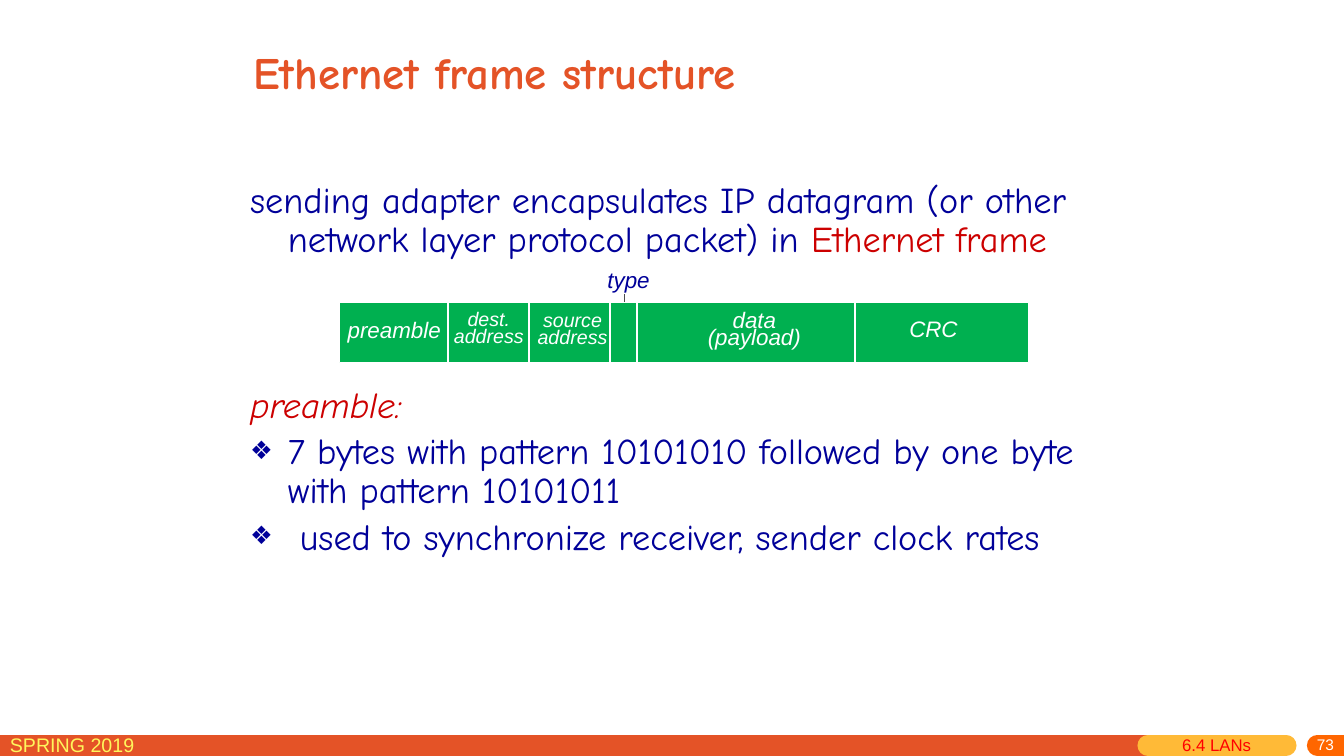
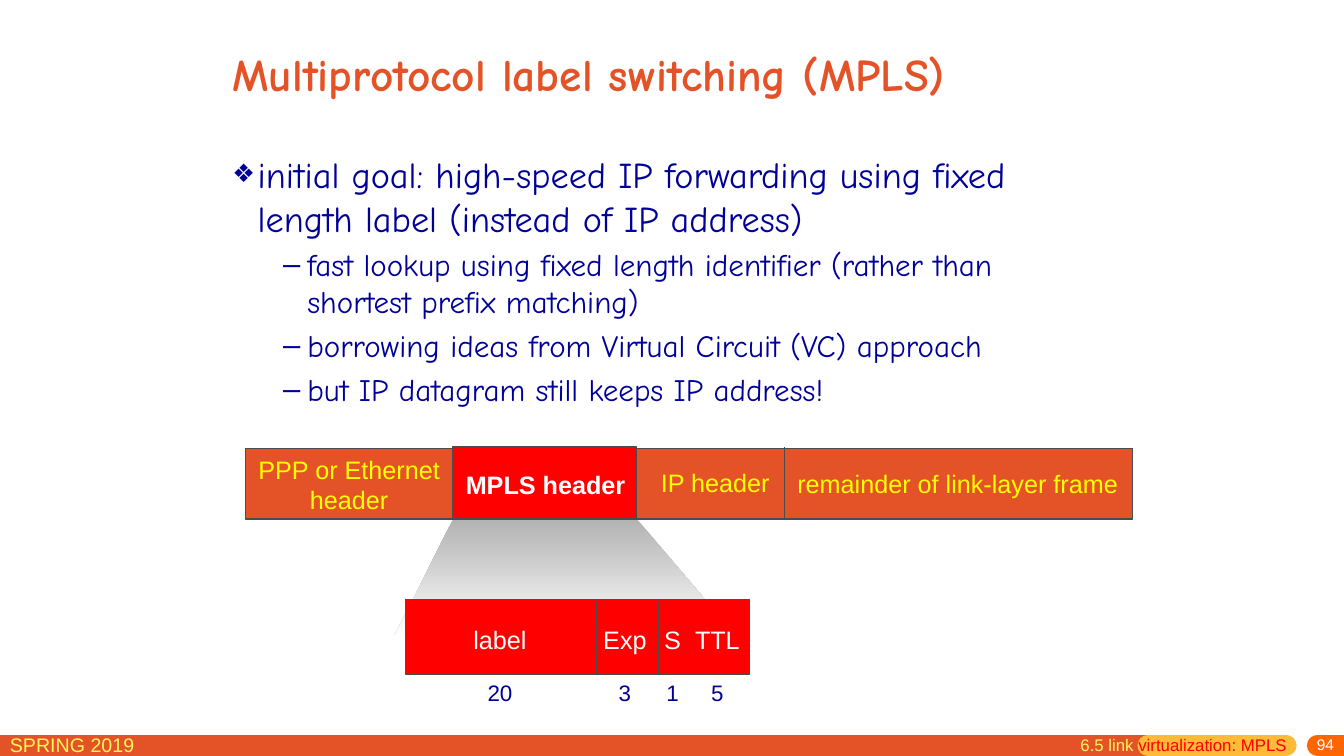
from dataclasses import dataclass
from typing import NamedTuple

from lxml.etree import SubElement
from pptx import Presentation
from pptx.dml.color import RGBColor
from pptx.enum.shapes import MSO_CONNECTOR, MSO_SHAPE
from pptx.enum.text import MSO_ANCHOR, MSO_AUTO_SIZE, PP_ALIGN
from pptx.oxml.ns import qn
from pptx.shapes.autoshape import Shape
from pptx.shapes.connector import Connector
from pptx.slide import Slide
from pptx.text.text import Font
from pptx.util import Cm, Pt

COLORS = {
    "orange": "E45327", "amber": "FFBA37", "bright orange": "FF6600",
    "pale yellow": "FFF65C", "yellow": "FFFF00", "white": "FFFFFF",
    "navy": "000099", "crimson": "CC0000", "red": "FF0000",
    "green": "00B050", "dark gray": "4C4C4C", "gray": "B2B2B2",
}
BODY_FONT = "Comic Neue"
LABEL_FONT = "Arial"
SLIDE_WIDTH, SLIDE_HEIGHT = 33.87, 19.05
BAND_MIDDLE = 18.78


class Box(NamedTuple):
    """A rectangle in centimetres."""
    left: float
    top: float
    width: float
    height: float

    def lengths(self) -> tuple[Cm, ...]:
        return tuple(Cm(value) for value in self)


class Band(NamedTuple):
    start: float
    end: float
    color: str
    cap: str


class TextRun(NamedTuple):
    text: str
    color: str = "navy"


class HeaderField(NamedTuple):
    name: str
    bits: str
    center: float


@dataclass(frozen=True)
class Label:
    text: str
    box: Box
    size: float
    color: str
    align: PP_ALIGN = PP_ALIGN.CENTER
    bold: bool = False
    italic: bool = False
    wrap: bool = True
    line_points: float | None = None
    anchor: MSO_ANCHOR = MSO_ANCHOR.TOP


@dataclass(frozen=True)
class BodyParagraph:
    runs: tuple[TextRun, ...]
    size: float = 25.9
    level: int = 0
    margin: float = 0.95
    hanging: float = 0.95
    bullet: str = ""
    bullet_percent: int = 70
    italic: bool = False
    line_spacing: float | None = None
    space_before: float | None = None


BANDS = (
    Band(0, 28.93, "orange", "flat"),
    Band(28.93, 32.41, "amber", "rnd"),
    Band(33.2, SLIDE_WIDTH, "bright orange", "rnd"),
)


def rgb(color: str) -> RGBColor:
    return RGBColor.from_string(COLORS[color])


def style_font(font: Font, name: str, size: float, color: str,
               bold: bool = False, italic: bool = False) -> None:
    font.name, font.size = name, Pt(size)
    font.bold, font.italic = bold, italic
    font.color.rgb = rgb(color)


def add_line(slide: Slide, start: tuple[float, float], end: tuple[float, float],
             color: str, points: float) -> Connector:
    connector = slide.shapes.add_connector(
        MSO_CONNECTOR.STRAIGHT, *(Cm(value) for value in (*start, *end)))
    connector.line.color.rgb = rgb(color)
    connector.line.width = Pt(points)
    SubElement(connector._element.spPr, qn("a:effectLst"))
    return connector


def add_dividers(slide: Slide, positions: tuple[float, ...], top: float,
                 bottom: float, color: str, points: float) -> None:
    for left in positions:
        add_line(slide, (left, top), (left, bottom), color, points)


def add_rectangle(slide: Slide, box: Box, fill: str, line: str) -> None:
    shape = slide.shapes.add_shape(MSO_SHAPE.RECTANGLE, *box.lengths())
    shape.shadow.inherit = False
    shape.fill.solid()
    shape.fill.fore_color.rgb = rgb(fill)
    shape.line.color.rgb = rgb(line)
    shape.line.width = Pt(0.75)


def add_label(slide: Slide, label: Label) -> Shape:
    shape = slide.shapes.add_textbox(*label.box.lengths())
    frame = shape.text_frame
    frame.word_wrap = label.wrap
    frame.vertical_anchor = label.anchor
    frame.text = label.text
    for paragraph in frame.paragraphs:
        paragraph.alignment = label.align
        if label.line_points:
            paragraph.line_spacing = Pt(label.line_points)
        style_font(paragraph.font, LABEL_FONT, label.size, label.color,
                   label.bold, label.italic)
    return shape


def add_footer(slide: Slide, number: int) -> None:
    for band in BANDS:
        connector = add_line(slide, (band.start, BAND_MIDDLE),
                             (band.end, BAND_MIDDLE), band.color, 15)
        connector.line._get_or_add_ln().set("cap", band.cap)
    add_label(slide, Label("SPRING 2019", Box(0, 18.34, 5.82, 0.79), 14,
                           "pale yellow", PP_ALIGN.LEFT))
    add_label(slide, Label(str(number), Box(27.31, 18.36, 6.56, 0.79), 11,
                           "white", PP_ALIGN.RIGHT, anchor=MSO_ANCHOR.MIDDLE))


def place(shape: Shape, box: Box) -> None:
    shape.left, shape.top, shape.width, shape.height = box.lengths()
    shape.text_frame.auto_size = MSO_AUTO_SIZE.NONE


def set_title(slide: Slide, text: str, box: Box, size: float) -> None:
    title = slide.shapes.title
    place(title, box)
    title.text_frame.text = text
    title.text_frame.vertical_anchor = MSO_ANCHOR.MIDDLE
    paragraph = title.text_frame.paragraphs[0]
    paragraph.alignment = PP_ALIGN.LEFT
    style_font(paragraph.font, BODY_FONT, size, "orange", bold=True)


def set_body(slide: Slide, box: Box, items: tuple[BodyParagraph, ...]) -> None:
    body = slide.placeholders[1]
    place(body, box)
    frame = body.text_frame
    for index, item in enumerate(items):
        paragraph = frame.add_paragraph() if index else frame.paragraphs[0]
        paragraph.level = item.level
        properties = paragraph._p.get_or_add_pPr()
        properties.set("marL", str(Cm(item.margin)))
        properties.set("indent", str(-Cm(item.hanging)))
        if item.bullet:
            SubElement(properties, qn("a:buSzPct"),
                       val=str(item.bullet_percent * 1000))
            SubElement(properties, qn("a:buChar"), char=item.bullet)
        else:
            SubElement(properties, qn("a:buNone"))
        if item.line_spacing:
            paragraph.line_spacing = item.line_spacing
        if item.space_before:
            paragraph.space_before = Pt(item.space_before)
        color = item.runs[0].color
        style_font(paragraph.font, BODY_FONT, item.size, color, italic=item.italic)
        for text_run in item.runs:
            run = paragraph.add_run()
            run.text = text_run.text
            if text_run.color != color:
                run.font.color.rgb = rgb(text_run.color)


def add_funnel(slide: Slide, corners: tuple[tuple[float, float], ...]) -> None:
    """Draw the shading that widens from one header to its enlarged fields."""
    first, *others = [(Cm(left), Cm(top)) for left, top in corners]
    builder = slide.shapes.build_freeform(*first)
    builder.add_line_segments(others, close=True)
    funnel = builder.convert_to_shape()
    funnel.shadow.inherit = False
    funnel.line.fill.background()
    funnel.fill.gradient()
    funnel.fill.gradient_angle = 270
    for stop, color in zip(funnel.fill.gradient_stops, ("gray", "white")):
        stop.color.rgb = rgb(color)


def build_ethernet_slide(slide: Slide) -> None:
    add_footer(slide, 73)
    set_title(slide, "Ethernet frame structure", Box(6.13, 0.95, 21.59, 1.7), 32)
    set_body(slide, Box(6.05, 4.47, 21.59, 12.07), (
        BodyParagraph((
            TextRun("sending adapter encapsulates IP datagram (or other "
                    "network layer protocol packet) in "),
            TextRun("Ethernet frame", "crimson")), line_spacing=0.9),
        BodyParagraph((TextRun("preamble:", "crimson"),), italic=True,
                      line_spacing=0.9, space_before=90),
        BodyParagraph((TextRun("7 bytes with pattern 10101010 followed by "
                               "one byte with pattern 10101011"),),
                      bullet="❖", line_spacing=0.9),
        BodyParagraph((TextRun(" used to synchronize receiver, sender clock rates"),),
                      bullet="❖", line_spacing=0.9),
    ))

    frame = Box(8.55, 7.62, 17.37, 1.52)
    add_line(slide, (15.75, 7.42), (15.75, frame.top), "dark gray", 0.75)
    add_rectangle(slide, frame, "green", "white")
    add_dividers(slide, (11.3, 13.34, 15.37, 16.05, 21.54),
                 frame.top, frame.top + frame.height, "white", 1.5)
    for text, box, size in (
        ("preamble", Box(8.45, 8.1, 2.97, 0.69), 16),
        ("dest.\naddress", Box(11.15, 7.78, 2.34, 1.14), 14),
        ("source\naddress", Box(13.26, 7.8, 2.34, 1.14), 14),
        ("data (payload)", Box(17.09, 7.85, 3.84, 1.14), 16),
        ("CRC", Box(22.33, 8.07, 2.39, 0.69), 16),
    ):
        add_label(slide, Label(text, box, size, "white", italic=True, line_points=12))
    add_label(slide, Label("type", Box(15.06, 6.58, 2.13, 0.94), 16, "navy",
                           PP_ALIGN.LEFT, italic=True))
    add_label(slide, Label("6.4 LANs", Box(29.54, 18.39, 2.79, 0.79), 12, "red",
                           PP_ALIGN.LEFT))


def build_mpls_slide(slide: Slide) -> None:
    add_footer(slide, 94)
    set_title(slide, "Multiprotocol label switching (MPLS)",
              Box(5.6, 0.53, 21.59, 2.62), 32.4)
    goal = BodyParagraph((TextRun("initial goal: high-speed IP forwarding using fixed "
                                  "length label (instead of IP address)"),),
                         margin=0.64, hanging=0.64, bullet="❖")
    details = tuple(
        BodyParagraph((TextRun(text),), size=22.2, level=1, margin=1.89,
                      hanging=0.61, bullet="–", bullet_percent=100)
        for text in (
            "fast lookup using fixed length identifier (rather than "
            "shortest prefix matching)",
            "borrowing ideas from Virtual Circuit (VC) approach",
            "but IP datagram still keeps IP address!",
        ))
    set_body(slide, Box(5.6, 3.71, 21.59, 7.44), (goal, *details))

    add_funnel(slide, ((11.43, 13.06), (9.93, 16.05), (18.57, 16.05), (16.03, 13.06)))
    add_rectangle(slide, Box(6.2, 11.3, 22.35, 1.78), "orange", "dark gray")
    for text, box in (
        ("PPP or Ethernet\nheader", Box(6.0, 11.32, 5.6, 1.78)),
        ("IP header", Box(16.2, 11.66, 3.65, 1.02)),
        ("remainder of link-layer frame", Box(19.64, 11.68, 8.99, 1.02)),
    ):
        add_label(slide, Label(text, box, 18, "yellow", wrap=False))
    add_dividers(slide, (11.43, 16.03, 19.76), 11.27, 13.07, "dark gray", 0.75)
    add_rectangle(slide, Box(11.4, 11.25, 4.63, 1.78), "red", "dark gray")
    add_label(slide, Label("MPLS header", Box(10.75, 11.71, 6, 1.02), 18, "white",
                           bold=True, wrap=False))

    add_rectangle(slide, Box(10.21, 15.11, 8.68, 1.88), "red", "dark gray")
    add_dividers(slide, (15.04, 16.61, 17.37), 15.15, 16.99, "dark gray", 1)
    for field in (HeaderField("label", "20", 12.6), HeaderField("Exp", "3", 15.75),
                  HeaderField("S", "1", 16.95), HeaderField("TTL", "5", 18.08)):
        left = field.center - 1.25
        add_label(slide, Label(field.name, Box(left, 15.6, 2.5, 1.02), 18, "white",
                               wrap=False))
        add_label(slide, Label(field.bits, Box(left, 16.98, 2.5, 0.94), 16, "navy",
                               wrap=False))

    tag = add_label(slide, Label("6.5 link ", Box(26.98, 18.39, 5.99, 0.79), 12,
                                 "pale yellow", PP_ALIGN.LEFT))
    run = tag.text_frame.paragraphs[0].add_run()
    run.text = "virtualization: MPLS"
    run.font.color.rgb = rgb("red")


def main() -> None:
    presentation = Presentation()
    presentation.slide_width, presentation.slide_height = Cm(SLIDE_WIDTH), Cm(SLIDE_HEIGHT)
    for build in (build_ethernet_slide, build_mpls_slide):
        build(presentation.slides.add_slide(presentation.slide_layouts[1]))
    presentation.save("out.pptx")


if __name__ == "__main__":
    main()
